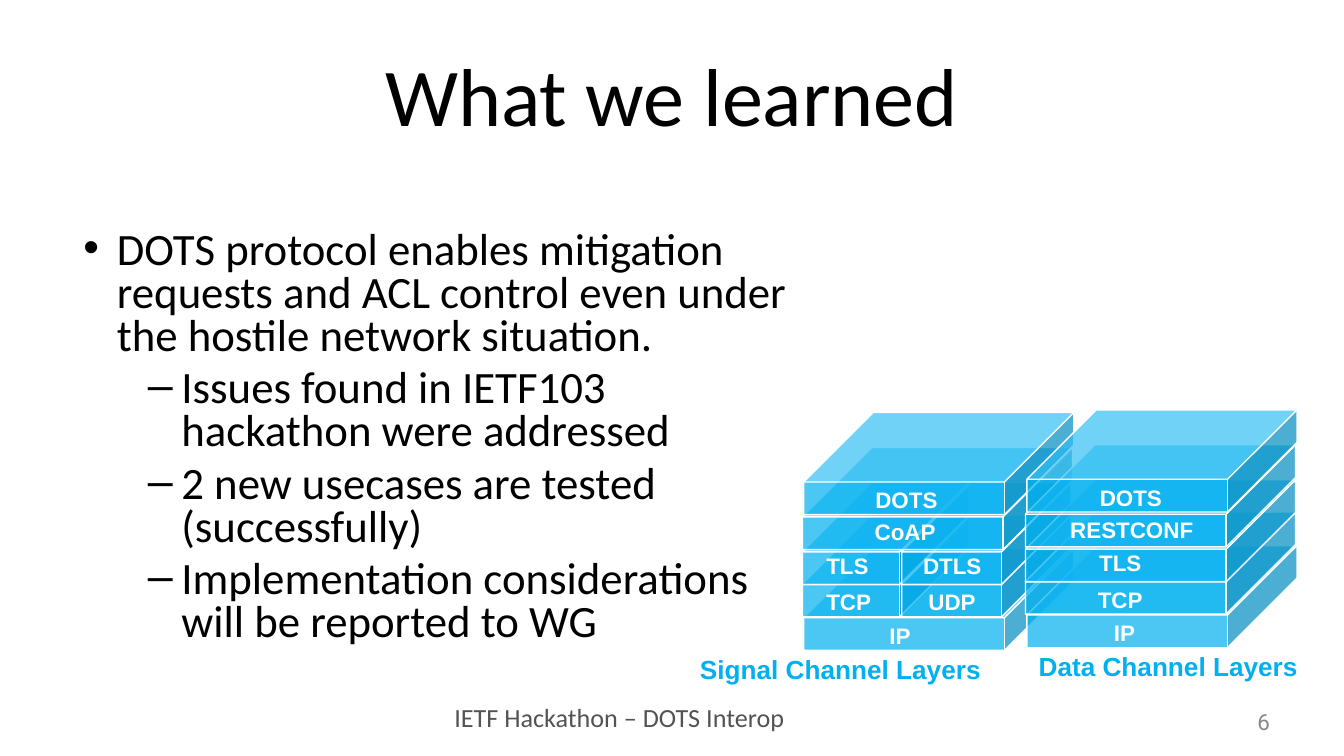
"""Build the "What we learned" slide with two protocol layer stacks."""
from dataclasses import dataclass

from lxml import etree
from pptx import Presentation
from pptx.dml.color import RGBColor
from pptx.enum.shapes import MSO_SHAPE
from pptx.enum.text import MSO_ANCHOR, MSO_AUTO_SIZE, PP_ALIGN
from pptx.oxml.ns import qn
from pptx.util import Inches, Pt

CUBE = MSO_SHAPE.CUBE
TOP, MIDDLE = MSO_ANCHOR.TOP, MSO_ANCHOR.MIDDLE
LEFT, CENTER, RIGHT = PP_ALIGN.LEFT, PP_ALIGN.CENTER, PP_ALIGN.RIGHT
GROW = MSO_AUTO_SIZE.SHAPE_TO_FIT_TEXT


@dataclass(frozen=True)
class Style:
    font: str
    size: int
    color: str
    bold: bool = False


class Theme:
    title = Style("Calibri", 44, "000000")
    body = Style("Calibri", 24, "000000")
    footer = Style("Calibri", 14, "535353")
    number = Style("Roboto", 12, "888888")
    caption = Style("Arial", 14, "00B0F0", True)
    label = Style("Arial", 12, "FFFFFF", True)
    cube_fill = "00B0F0"
    cube_line = "FFFFFF"
    cube_opacity = 70


SLIDE_WIDTH = 10
SLIDE_HEIGHT = SLIDE_WIDTH * 9 / 16
TITLE = "What we learned"
FOOTER = "IETF Hackathon – DOTS Interop"
PAGE_NUMBER = "6"
BULLETS = [
    (0, "DOTS protocol enables mitigation requests and ACL control even under "
        "the hostile network situation."),
    (1, "Issues found in IETF103 hackathon were addressed"),
    (1, "2 new usecases are tested (successfully)"),
    (1, "Implementation considerations will be reported to WG"),
]
LEVELS = [(0.25, "•"), (0.73, "–")]
HANGING = 0.25

CUBE_HEIGHT, CUBE_DEPTH = 0.76, 0.68
FULL, HALF_LEFT, HALF_RIGHT = (0, 2.01), (0, 1.24), (0.74, 1.26)
SHIFTED = (0.01, 2.01)
ROWS = [(1.01, 1.51), (0.76, 1.26), (0.52, 0.99), (0.26, 0.74), (0, 0.5)]

STACKS = [
    {"origin": (5.97, 3.07), "caption": ("Signal Channel Layers", 5.11, 4.81, 2.31),
     "layers": [
         [("IP", SHIFTED, 0.73, 0.36)],
         [("TCP", HALF_LEFT, 0.35, 0.54), ("UDP", HALF_RIGHT, 1.12, 0.56)],
         [("TLS", HALF_LEFT, 0.34, 0.52), ("DTLS", HALF_RIGHT, 1.12, 0.64)],
         [("CoAP", FULL, 0.77, 0.66)],
         [("DOTS", SHIFTED, 0.78, 0.67)]]},
    {"origin": (7.63, 3.05), "caption": ("Data Channel Layers", 7.63, 4.79, 2.14),
     "layers": [
         [("IP", SHIFTED, 0.74, 0.36)],
         [("TCP", FULL, 0.71, 0.54)],
         [("TLS", FULL, 0.71, 0.52)],
         [("RESTCONF", FULL, 0.8, 1.13)],
         [("DOTS", SHIFTED, 0.79, 0.67)]]},
]


def add_run(paragraph, text, style):
    run = paragraph.add_run()
    run.text = text
    run.font.name = style.font
    run.font.size = Pt(style.size)
    run.font.bold = style.bold
    run.font.color.rgb = RGBColor.from_string(style.color)


def add_frame(slide, box, inset=None, anchor=TOP, wrap=False):
    frame = slide.shapes.add_textbox(*map(Inches, box)).text_frame
    frame.word_wrap = wrap
    frame.vertical_anchor = anchor
    if not wrap:
        frame.auto_size = GROW
    if inset is not None:
        frame.margin_left = frame.margin_right = Inches(inset)
        frame.margin_top = frame.margin_bottom = Inches(inset)
    return frame


def add_text(slide, box, text, style, align=LEFT, **options):
    paragraph = add_frame(slide, box, **options).paragraphs[0]
    paragraph.alignment = align
    add_run(paragraph, text, style)


def add_bullets(slide, box):
    frame = add_frame(slide, box, inset=0.05, wrap=True)
    for index, (level, text) in enumerate(BULLETS):
        paragraph = frame.add_paragraph() if index else frame.paragraphs[0]
        paragraph.level = level
        paragraph.line_spacing = 0.8
        paragraph.space_before = Pt(5)
        margin, character = LEVELS[level]
        properties = paragraph._p.get_or_add_pPr()
        properties.set("marL", str(Inches(margin)))
        properties.set("indent", str(-Inches(HANGING)))
        etree.SubElement(properties, qn("a:buFont"), typeface="Arial")
        etree.SubElement(properties, qn("a:buChar"), char=character)
        add_run(paragraph, text, Theme.body)


def add_cube(slide, left, top, width):
    shape = slide.shapes.add_shape(CUBE, *map(Inches, (left, top, width, CUBE_HEIGHT)))
    shape.shadow.inherit = False
    shape.adjustments[0] = CUBE_DEPTH
    shape.fill.solid()
    shape.fill.fore_color.rgb = RGBColor.from_string(Theme.cube_fill)
    color = shape.fill._xPr.find(qn("a:solidFill"))[0]
    etree.SubElement(color, qn("a:alpha"), val=str(Theme.cube_opacity * 1000))
    shape.line.color.rgb = RGBColor.from_string(Theme.cube_line)
    shape.line.width = Pt(0.75)


def add_stack(slide, stack):
    text, left, top, width = stack["caption"]
    add_text(slide, (left, top, width, 0.34), text, Theme.caption)
    x, y = stack["origin"]
    placed = [(row, part) for row, layer in zip(ROWS, stack["layers"]) for part in layer]
    for (cube_top, _), (_, (offset, width), _, _) in placed:
        add_cube(slide, x + offset, y + cube_top, width)
    for (_, label_top), (text, _, center, width) in placed:
        box = (x + center - width / 2, y + label_top, width, 0.3)
        add_text(slide, box, text, Theme.label)


def main():
    presentation = Presentation()
    presentation.slide_width = Inches(SLIDE_WIDTH)
    presentation.slide_height = Inches(SLIDE_HEIGHT)
    slide = presentation.slides.add_slide(presentation.slide_layouts[6])
    add_text(slide, (3.33, 5.17, 2.59, 0.34), FOOTER, Theme.footer, inset=0.05)
    add_text(slide, (0.5, 0.23, 9, 0.94), TITLE, Theme.title, CENTER,
             inset=0.05, anchor=MIDDLE, wrap=True)
    add_bullets(slide, (0.57, 1.67, 5.41, 3.34))
    add_text(slide, (9.3, 5.22, 0.2, 0.29), PAGE_NUMBER, Theme.number, RIGHT,
             inset=0.05, anchor=MIDDLE)
    for stack in STACKS:
        add_stack(slide, stack)
    presentation.save("out.pptx")


main()
